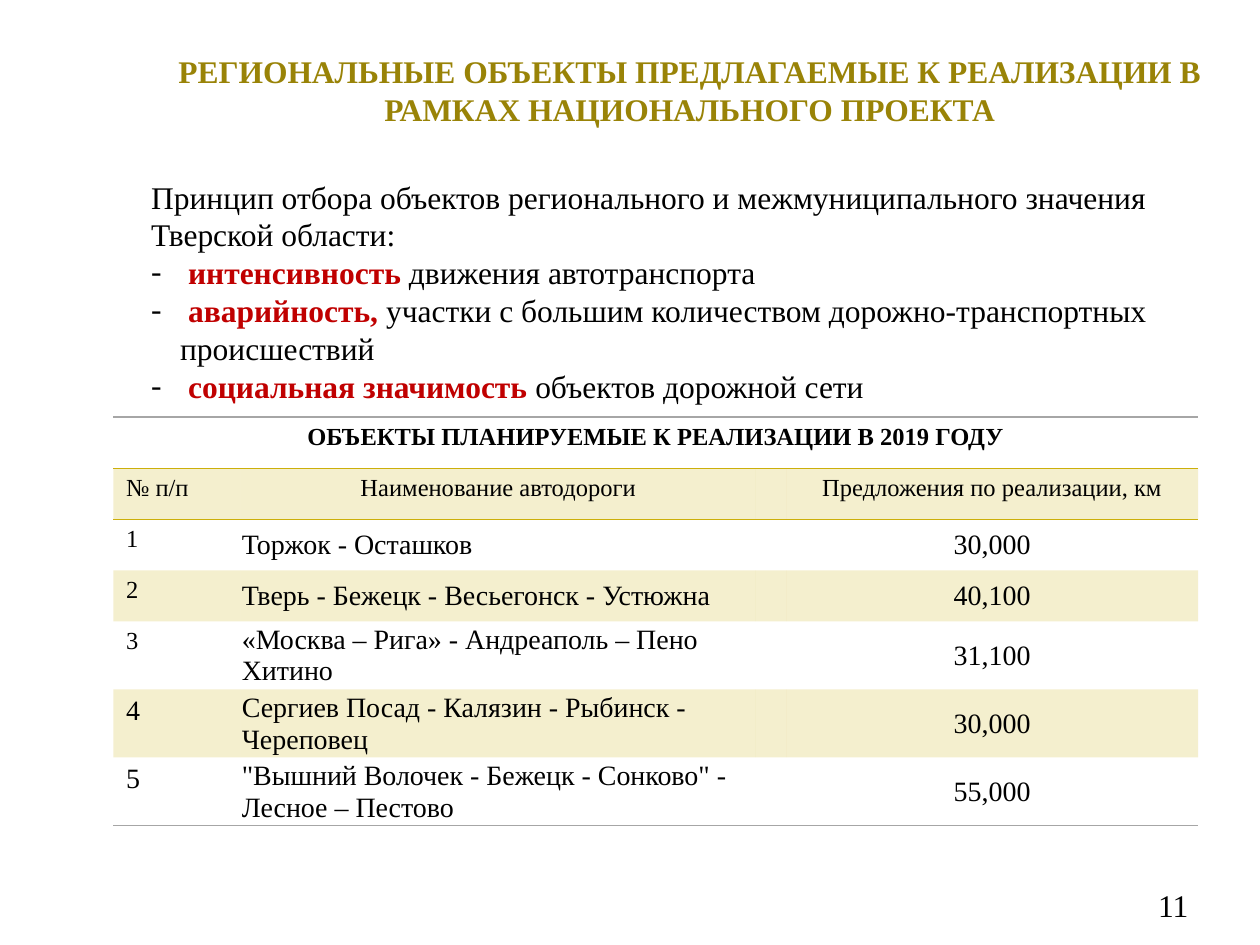
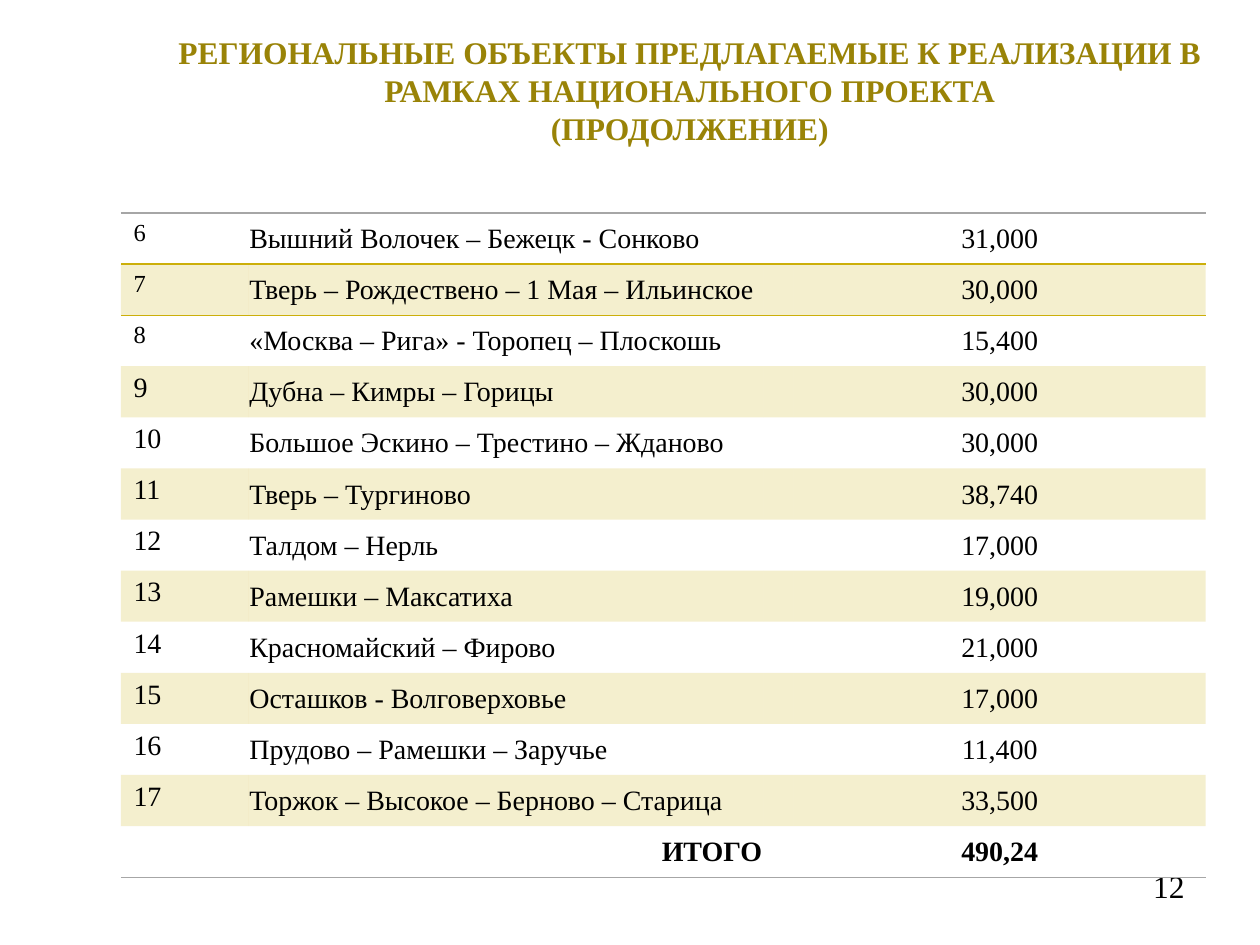
from lxml.etree import SubElement as Sub
from pptx import Presentation
from pptx.dml.color import RGBColor
from pptx.enum.text import MSO_ANCHOR as Anchor, MSO_AUTO_SIZE as Fit, PP_ALIGN as Align
from pptx.oxml.ns import qn
from pptx.util import Inches, Pt

FONT = "Times New Roman"
BLACK = RGBColor(0, 0, 0)
OLIVE = RGBColor(0x99, 0x83, 0x07)
GOLD = RGBColor(0xCC, 0xAF, 0x0A)
RED = RGBColor(0xC0, 0, 0)
GREY = RGBColor(0xA6, 0xA6, 0xA6)
PLAIN = "{2D5ABB26-0587-4C30-8999-92F81FD0307C}"
COLS = (1.01, 4.09, 0.23, 3.27)
ROW = Inches(5.27) // 13
TALL = Inches(0.54)
TITLE = "РЕГИОНАЛЬНЫЕ ОБЪЕКТЫ ПРЕДЛАГАЕМЫЕ К РЕАЛИЗАЦИИ В РАМКАХ НАЦИОНАЛЬНОГО ПРОЕКТА"
INTRO = "Принцип отбора объектов регионального и межмуниципального значения Тверской области:"
RULES = [
    ("интенсивность", " движения автотранспорта"),
    ("аварийность, ", "участки с большим количеством дорожно-транспортных происшествий"),
    ("социальная значимость ", "объектов дорожной сети"),
]
BANNER = "ОБЪЕКТЫ ПЛАНИРУЕМЫЕ К РЕАЛИЗАЦИИ В 2019 ГОДУ"
HEADS = ("№ п/п", "Наименование автодороги", "Предложения по реализации, км")
FIRST = [
    ("Торжок - Осташков", "30,000"),
    ("Тверь - Бежецк - Весьегонск - Устюжна", "40,100"),
    ("«Москва – Рига» - Андреаполь – Пено Хитино", "31,100"),
    ("Сергиев Посад - Калязин - Рыбинск - Череповец", "30,000"),
    ("\"Вышний Волочек - Бежецк - Сонково\" - Лесное – Пестово", "55,000"),
]
NEXT = [
    ("Вышний Волочек – Бежецк - Сонково", "31,000"),
    ("Тверь – Рождествено – 1 Мая – Ильинское", "30,000"),
    ("«Москва – Рига» - Торопец – Плоскошь", "15,400"),
    ("Дубна – Кимры – Горицы", "30,000"),
    ("Большое Эскино – Трестино – Жданово", "30,000"),
    ("Тверь – Тургиново", "38,740"),
    ("Талдом – Нерль", "17,000"),
    ("Рамешки – Максатиха", "19,000"),
    ("Красномайский – Фирово", "21,000"),
    ("Осташков - Волговерховье", "17,000"),
    ("Прудово – Рамешки – Заручье", "11,400"),
    ("Торжок – Высокое – Берново – Старица", "33,500"),
]


def add_run(para, text, size=18, color=BLACK, bold=False):
    """Add one formatted run to a paragraph."""
    run = para.add_run()
    run.text = text
    run.font.name, run.font.size = FONT, Pt(size)
    run.font.color.rgb, run.font.bold = color, bold


def place(shape, left, top, width, height):
    """Move a shape and make its text wrap at a fixed size."""
    shape.left, shape.top = Inches(left), Inches(top)
    shape.width, shape.height = Inches(width), Inches(height)
    shape.text_frame.word_wrap = True
    shape.text_frame.auto_size = Fit.NONE


def add_para(frame, first, align):
    """Return the first or a new paragraph with even spacing."""
    para = frame.paragraphs[0] if first else frame.add_paragraph()
    para.alignment, para.line_spacing = align, 1.0
    para.space_before = Pt(0)
    return para


def set_title(slide, lines):
    """Fill the title placeholder, one paragraph a line."""
    shape = slide.shapes.title
    place(shape, 0.95, 0.29, 9.05, 0.85)
    shape.text_frame.vertical_anchor = Anchor.MIDDLE
    for i, line in enumerate(lines):
        add_run(add_para(shape.text_frame, i == 0, Align.CENTER), line, 18, OLIVE, True)


def set_bullet(para, mark=None):
    """Give a paragraph a hanging bullet, or none."""
    props = para._p.get_or_add_pPr()
    edge = Inches(0.23) if mark else 0
    props.set("marL", str(edge))
    props.set("indent", str(-edge))
    if mark:
        Sub(props, qn("a:buFont"), typeface=FONT)
        Sub(props, qn("a:buChar"), char=mark)
    else:
        Sub(props, qn("a:buNone"))


def set_body(slide):
    """Fill the body placeholder with the selection rules."""
    shape = slide.placeholders[1]
    place(shape, 1.1, 1.36, 8.15, 1.92)
    para = add_para(shape.text_frame, True, Align.LEFT)
    set_bullet(para)
    add_run(para, INTRO)
    for key, rest in RULES:
        para = add_para(shape.text_frame, False, Align.LEFT)
        set_bullet(para, "-")
        add_run(para, " ")
        add_run(para, key, color=RED, bold=True)
        add_run(para, rest)


def add_number(slide, text, left, top):
    """Add the page number."""
    box = slide.shapes.add_textbox(0, 0, 0, 0)
    place(box, left, top, 2.33, 0.52)
    para = box.text_frame.paragraphs[0]
    para.alignment = Align.RIGHT
    add_run(para, text)


def add_edge(cell, tag, color):
    """Draw one border of a cell."""
    line = Sub(cell._tc.get_or_add_tcPr(), qn(tag), w=str(Pt(0.75)))
    Sub(Sub(line, qn("a:solidFill")), qn("a:srgbClr"), val=str(color))


def set_fill(cell, band):
    """Tint a banded cell and leave the others clear."""
    if not band:
        cell.fill.background()
        return
    cell.fill.solid()
    cell.fill.fore_color.rgb = GOLD
    tint = cell._tc.tcPr.find(qn("a:solidFill"))[0]
    Sub(tint, qn("a:alpha"), val="20000")


def add_grid(slide, left, top, rows):
    """Add a banded table of the given row heights."""
    frame = slide.shapes.add_table(len(rows), len(COLS), Inches(left), Inches(top),
                                   Inches(sum(COLS)), sum(rows))
    next(frame.element.iter(qn("a:tableStyleId"))).text = PLAIN
    grid = frame.table
    grid.first_row = grid.horz_banding = False
    for col, width in zip(grid.columns, COLS):
        col.width = Inches(width)
    for i, height in enumerate(rows):
        grid.rows[i].height = height
        for j in range(len(COLS)):
            cell = grid.cell(i, j)
            if i == 0:
                add_edge(cell, "a:lnT", GREY)
                add_edge(cell, "a:lnB", GOLD)
            if i == 1:
                add_edge(cell, "a:lnT", GOLD)
            if i == len(rows) - 1:
                add_edge(cell, "a:lnB", GREY)
            set_fill(cell, i % 2)
    return grid


def write(cell, text, size, align=Align.LEFT, bold=False, tight=False):
    """Write one cell, tight ones centred with thin margins."""
    if tight:
        cell.margin_left = cell.margin_right = cell.margin_top = Inches(0.01)
        cell.margin_bottom = 0
        cell.vertical_anchor = Anchor.MIDDLE
    para = cell.text_frame.paragraphs[0]
    para.alignment = align
    add_run(para, text, size, bold=bold)


def fill_roads(grid, top, start, roads):
    """Write numbered roads from the given row down."""
    for k, (name, km) in enumerate(roads):
        row = top + k
        write(grid.cell(row, 0), str(start + k), 14 if k < 3 else 16)
        write(grid.cell(row, 1), name, 16, tight=True)
        write(grid.cell(row, 3), km, 16, Align.CENTER, tight=True)


def add_first(deck):
    """Build the slide with the rules and the first roads."""
    slide = deck.slides.add_slide(deck.slide_layouts[1])
    set_title(slide, [TITLE])
    set_body(slide)
    grid = add_grid(slide, 0.9, 3.31, [ROW] * 4 + [TALL] * 3)
    grid.cell(0, 0).merge(grid.cell(0, 3))
    write(grid.cell(0, 0), BANNER, 14, Align.CENTER, True)
    for j, head in zip((0, 1, 3), HEADS):
        write(grid.cell(1, j), head, 14, Align.CENTER if j else Align.LEFT)
    fill_roads(grid, 2, 1, FIRST)
    add_number(slide, "11", 7.2, 6.98)


def add_next(deck):
    """Build the slide with the other roads and the total."""
    slide = deck.slides.add_slide(deck.slide_layouts[5])
    set_title(slide, [TITLE, "(ПРОДОЛЖЕНИЕ)"])
    add_number(slide, "12", 7.17, 6.83)
    grid = add_grid(slide, 0.96, 1.69, [ROW] * 13)
    fill_roads(grid, 0, 6, NEXT)
    write(grid.cell(12, 1), "ИТОГО", 16, Align.RIGHT, True, True)
    write(grid.cell(12, 3), "490,24", 16, Align.CENTER, True, True)


def main():
    """Build and save the deck."""
    deck = Presentation()
    deck.slide_width, deck.slide_height = Inches(10), Inches(7.5)
    add_first(deck)
    add_next(deck)
    deck.save("out.pptx")


main()
